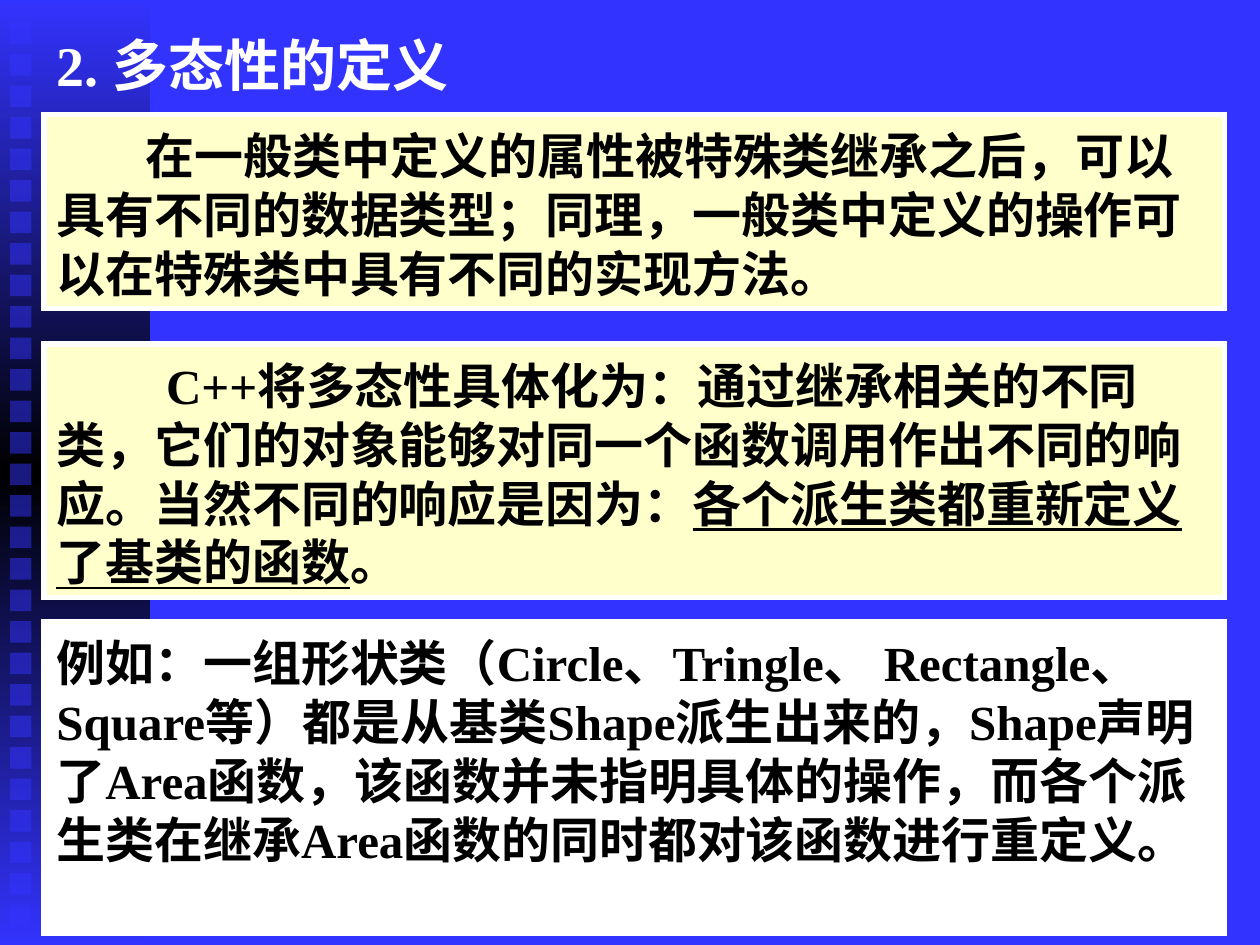
from copy import deepcopy

from lxml.etree import SubElement
from pptx import Presentation
from pptx.dml.color import RGBColor
from pptx.enum.lang import MSO_LANGUAGE_ID
from pptx.enum.shapes import MSO_SHAPE
from pptx.enum.text import MSO_ANCHOR, MSO_AUTO_SIZE, PP_ALIGN
from pptx.oxml.ns import qn
from pptx.util import Inches, Pt

COLORS = {"blue": "3333FF", "black": "000000", "white": "FFFFFF", "cream": "FFFFCC"}
FONT = "Times New Roman"
LEFT, WIDTH = 0.35, 9.37


def rgb(name):
    return RGBColor.from_string(COLORS[name])


class SlideBuilder:
    """Holds the text style and the current slide, and adds each kind of element."""

    def __init__(self, s, font):
        self.s = s
        self.font = font

    def background(self, color):
        fill = self.s.background.fill
        fill.solid()
        fill.fore_color.rgb = rgb(color)

    def rect(self, x, y, w, h):
        sp = self.s.shapes.add_shape(
            MSO_SHAPE.RECTANGLE, Inches(x), Inches(y), Inches(w), Inches(h))
        sp.shadow.inherit = False
        sp.line.fill.background()
        return sp

    def gradient_band(self, x, y, w, h, edge, middle):
        sp = self.rect(x, y, w, h)
        sp.fill.gradient()
        sp.fill.gradient_angle = 90
        first, second = sp.fill.gradient_stops
        first.color.rgb, second.color.rgb = rgb(edge), rgb(middle)
        second.position = 0.5
        stops = sp._element.spPr.find(qn("a:gradFill")).find(qn("a:gsLst"))
        last = deepcopy(stops[0])
        last.set("pos", "100000")
        stops.append(last)

    def square(self, x, y, size, color, alpha):
        sp = self.rect(x, y, size, size)
        sp.fill.solid()
        sp.fill.fore_color.rgb = rgb(color)
        clr = sp._element.spPr.find(qn("a:solidFill"))[0]
        SubElement(clr, qn("a:alpha")).set("val", str(alpha * 1000))

    def text(self, tf, runs, size, color, indent=0):
        tf.word_wrap = True
        p = tf.paragraphs[0]
        p.alignment = PP_ALIGN.LEFT
        pPr = p._p.get_or_add_pPr()
        pPr.set("hangingPunct", "0")
        if indent:
            pPr.set("indent", str(Inches(indent)))
        for content, underline in runs:
            r = p.add_run()
            r.text = content
            r.font.name = self.font
            r.font.size = Pt(size)
            r.font.bold = True
            r.font.underline = underline
            r.font.color.rgb = rgb(color)
            r.font.language_id = MSO_LANGUAGE_ID.SIMPLIFIED_CHINESE

    def title(self, y, h, content):
        box = self.s.shapes.add_textbox(Inches(LEFT), Inches(y), Inches(WIDTH), Inches(h))
        box.text_frame.vertical_anchor = MSO_ANCHOR.MIDDLE
        self.text(box.text_frame, [(content, False)], 32, "white")

    def panel(self, y, h, fill, runs, indent=0):
        sp = self.rect(LEFT, y, WIDTH, h)
        sp.fill.solid()
        sp.fill.fore_color.rgb = rgb(fill)
        sp.line.color.rgb = rgb("white")
        sp.line.width = Pt(3)
        ln = sp._element.spPr.find(qn("a:ln"))
        SubElement(ln, qn("a:miter")).set("lim", "800000")
        tf = sp.text_frame
        tf.vertical_anchor = MSO_ANCHOR.TOP
        tf.margin_top = Inches(0.09)
        tf.auto_size = MSO_AUTO_SIZE.SHAPE_TO_FIT_TEXT
        self.text(tf, runs, 28, "black", indent)


def main():
    prs = Presentation()
    prs.slide_width, prs.slide_height = Inches(10), Inches(7.5)
    slide = SlideBuilder(prs.slides.add_slide(prs.slide_layouts[6]), FONT)
    slide.background("blue")
    slide.gradient_band(0, 0, 1.19, 7.5, "blue", "black")
    for i in range(29):
        slide.square(0.08, 0.18 + 0.25 * i, 0.17, "blue", 50)

    slide.title(0.05, 0.91, "2. 多态性的定义")
    slide.panel(0.91, 1.54, "cream", [
        ("在一般类中定义的属性被特殊类继承之后，可以具有不同的数据类型；"
         "同理，一般类中定义的操作可以在特殊类中具有不同的实现方法。", False),
    ], indent=0.71)
    slide.panel(2.73, 2.01, "cream", [
        ("C++将多态性具体化为：通过继承相关的不同类，它们的对象能够对同一个函数调用"
         "作出不同的响应。当然不同的响应是因为：", False),
        ("各个派生类都重新定义了基类的函数", True),
        ("。", False),
    ], indent=0.87)
    slide.panel(4.93, 2.48, "white", [
        ("例如：一组形状类（Circle、Tringle、 Rectangle、 Square等）都是从基类Shape派生出来的，"
         "Shape声明了Area函数，该函数并未指明具体的操作，"
         "而各个派生类在继承Area函数的同时都对该函数进行重定义。", False),
    ])
    prs.save("out.pptx")


if __name__ == "__main__":
    main()
